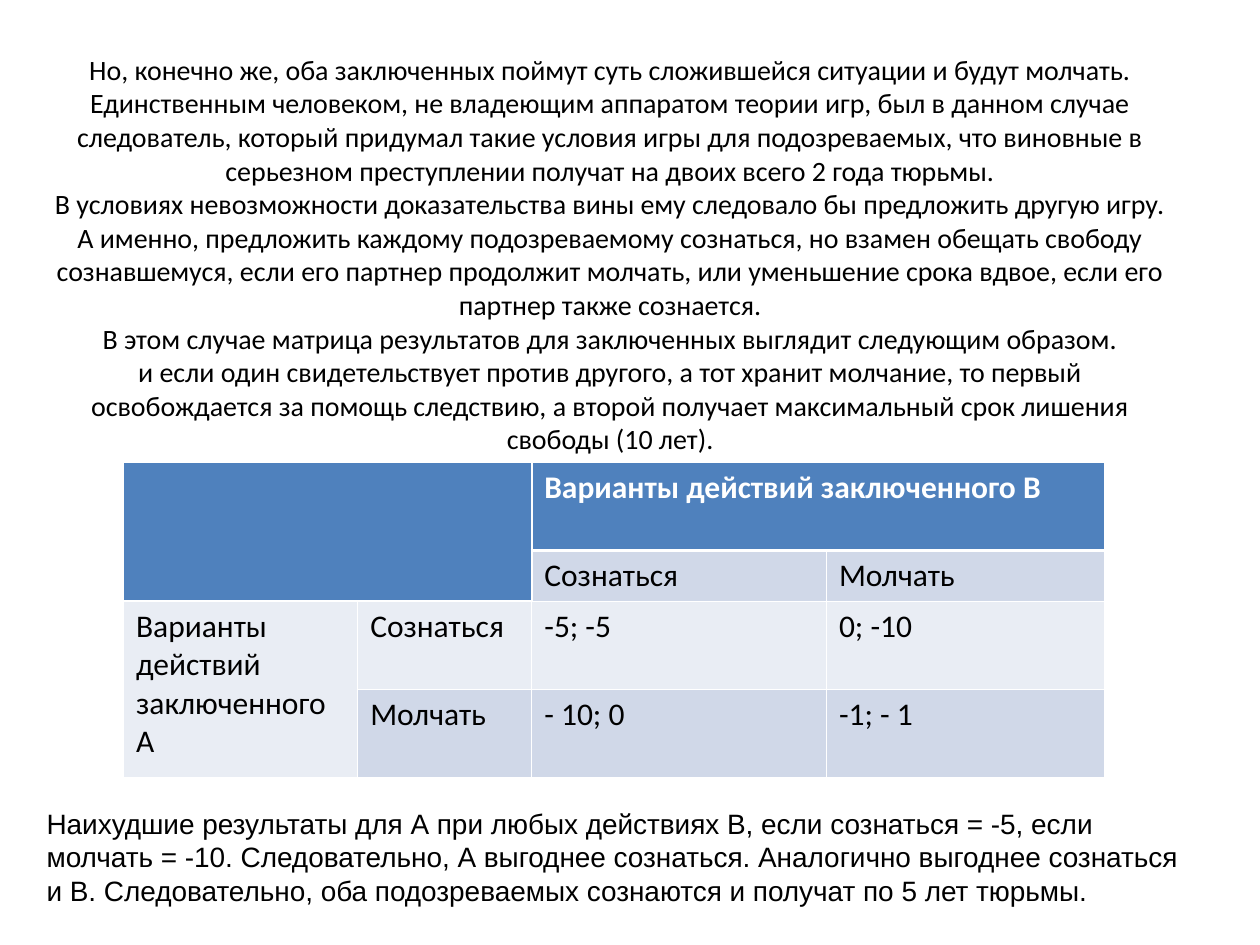
from copy import deepcopy
from dataclasses import dataclass

from lxml.etree import SubElement
from pptx import Presentation
from pptx.dml.color import RGBColor
from pptx.enum.text import MSO_ANCHOR, PP_ALIGN
from pptx.oxml.ns import qn
from pptx.util import Cm, Pt

BLACK = RGBColor(0x00, 0x00, 0x00)
WHITE = RGBColor(0xFF, 0xFF, 0xFF)
BLUE = RGBColor(0x4F, 0x81, 0xBD)
MID = RGBColor(0xD0, 0xD8, 0xE8)
PALE = RGBColor(0xE9, 0xED, 0xF4)
THIN, THICK = Pt(0.45), Pt(1.47)

STORY = [
    "Но, конечно же, оба заключенных поймут суть сложившейся ситуации и будут молчать. "
    "Единственным человеком, не владеющим аппаратом теории игр, был в данном случае "
    "следователь, который придумал такие условия игры для подозреваемых, что виновные в "
    "серьезном преступлении получат на двоих всего 2 года тюрьмы.",
    "В условиях невозможности доказательства вины ему следовало бы предложить другую игру. "
    "А именно, предложить каждому подозреваемому сознаться, но взамен обещать свободу "
    "сознавшемуся, если его партнер продолжит молчать, или уменьшение срока вдвое, если его "
    "партнер также сознается.",
    "В этом случае матрица результатов для заключенных выглядит следующим образом.",
    "и если один свидетельствует против другого, а тот хранит молчание, то первый "
    "освобождается за помощь следствию, а второй получает максимальный срок лишения "
    "свободы (10 лет).",
]
RESULT = [
    "Наихудшие результаты для А при любых действиях B, если сознаться = -5, если "
    "молчать = -10. Следовательно, А выгоднее сознаться. Аналогично выгоднее сознаться "
    "и B. Следовательно, оба подозреваемых сознаются и получат по 5 лет тюрьмы.",
]


@dataclass
class Box:
    lines: list[str]
    left: float
    top: float
    width: float
    height: float
    font: str
    align: PP_ALIGN
    anchor: MSO_ANCHOR


BOXES = [
    Box(STORY, 0.69, 3.53, 23.22, 3.18, "Calibri", PP_ALIGN.CENTER, MSO_ANCHOR.MIDDLE),
    Box(RESULT, 0.69, 16.13, 23.6, 2.29, "Arial", PP_ALIGN.LEFT, MSO_ANCHOR.TOP),
]

# Payoff table: text, fills, merged ranges and thick edges
COLS = [4.72, 3.51, 5.94, 5.61]
ROWS = [1.78, 1.02, 1.78, 1.78]
CELLS = [
    ["", "", "Варианты действий заключенного В", ""],
    ["", "", "Сознаться", "Молчать"],
    ["Варианты действий заключенного А", "Сознаться", "-5; -5", "0; -10"],
    ["", "Молчать", "- 10; 0", "-1; - 1"],
]
FILLS = [[BLUE] * 4, [BLUE, BLUE, MID, MID], [PALE] * 4, [PALE, MID, MID, MID]]
SPANS = [((0, 0), (1, 1)), ((0, 2), (0, 3)), ((2, 0), (3, 0))]
HEAVY = {
    (0, 0): "RB", (0, 1): "R", (0, 2): "B", (0, 3): "B",
    (1, 0): "B", (1, 1): "RB", (1, 2): "LT", (1, 3): "T",
    (2, 0): "T", (2, 1): "T",
}


def write(frame, text: str, *, font="Calibri", size=18, color=BLACK,
          bold=False, align=PP_ALIGN.LEFT) -> None:
    para = frame.paragraphs[0]
    para.text = text
    para.alignment = align
    for run in para.runs:
        run.font.name = font
        run.font.size = Pt(size)
        run.font.bold = bold
        run.font.color.rgb = color
    # Line breaks take the format of the text
    for mark in para._p.findall(qn("a:br")):
        mark.insert(0, deepcopy(para.runs[0]._r.rPr))


def edge(cell, heavy: str) -> None:
    props = cell._tc.get_or_add_tcPr()
    for place, side in enumerate("LRTB"):
        width = THICK if side in heavy else THIN
        line = SubElement(props, qn(f"a:ln{side}"), w=str(int(width)))
        fill = SubElement(line, qn("a:solidFill"))
        SubElement(fill, qn("a:srgbClr"), val=str(WHITE))
        props.insert(place, line)


def draw_box(slide, box: Box) -> None:
    shape = slide.shapes.add_textbox(
        Cm(box.left), Cm(box.top), Cm(box.width), Cm(box.height))
    frame = shape.text_frame
    frame.word_wrap = True
    frame.vertical_anchor = box.anchor
    write(frame, "\v".join(box.lines), font=box.font, size=16, align=box.align)


def draw_table(slide) -> None:
    table = slide.shapes.add_table(
        len(ROWS), len(COLS), Cm(2.49), Cm(9.32), Cm(sum(COLS)), Cm(sum(ROWS))).table
    table.horz_banding = False
    for col, width in zip(table.columns, COLS):
        col.width = Cm(width)
    for row, height in zip(table.rows, ROWS):
        row.height = Cm(height)
    for first, last in SPANS:
        table.cell(*first).merge(table.cell(*last))
    for r, line in enumerate(CELLS):
        for c, text in enumerate(line):
            cell = table.cell(r, c)
            cell.fill.solid()
            cell.fill.fore_color.rgb = FILLS[r][c]
            edge(cell, HEAVY.get((r, c), ""))
            if text:
                head = r == 0
                write(cell.text_frame, text, bold=head, color=WHITE if head else BLACK)


def main() -> None:
    deck = Presentation()
    deck.slide_width, deck.slide_height = Cm(25.4), Cm(19.05)
    slide = deck.slides.add_slide(deck.slide_layouts[6])
    story, result = BOXES
    draw_box(slide, story)
    draw_table(slide)
    draw_box(slide, result)
    deck.save("out.pptx")


if __name__ == "__main__":
    main()
